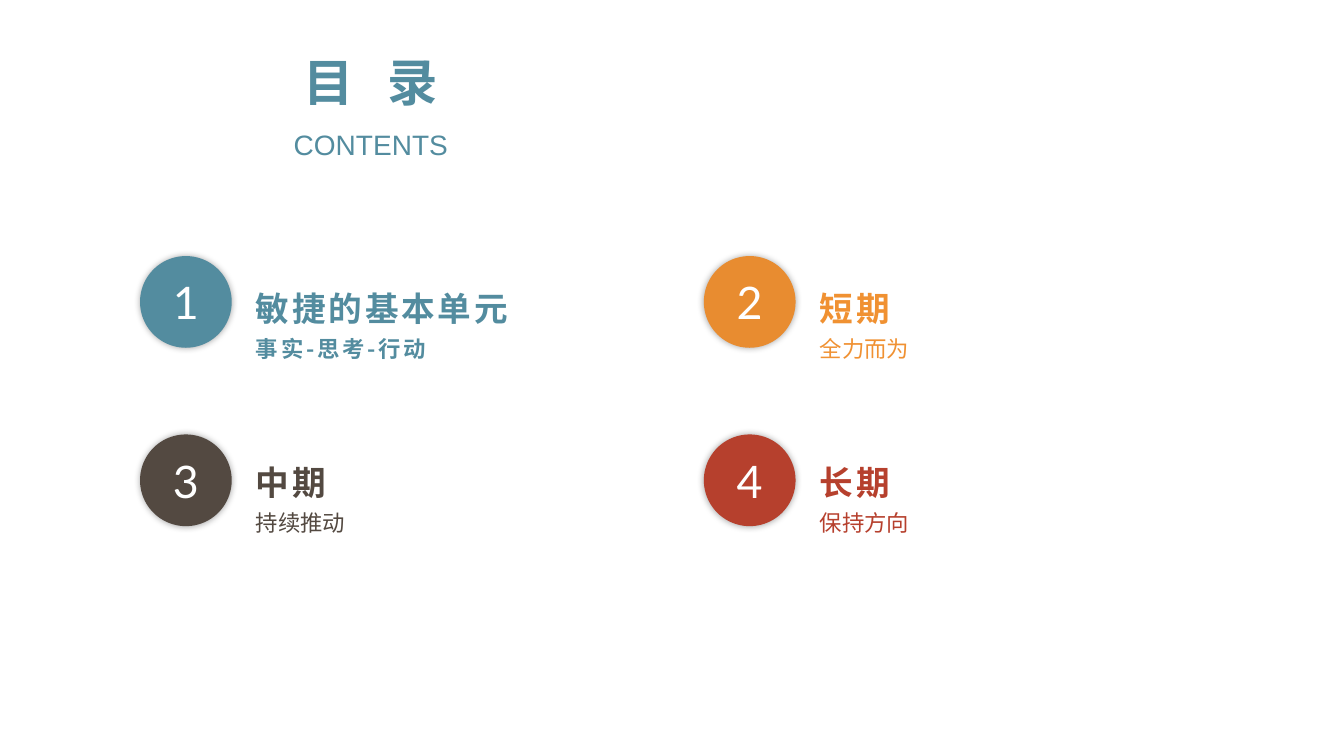
from lxml.etree import SubElement
from pptx import Presentation
from pptx.dml.color import RGBColor
from pptx.enum.shapes import MSO_SHAPE
from pptx.enum.text import MSO_ANCHOR, MSO_AUTO_SIZE, PP_ALIGN
from pptx.oxml.ns import qn
from pptx.util import Pt

TEAL = RGBColor(0x53, 0x8C, 0x9F)
ORANGE = RGBColor(0xE8, 0x8C, 0x30)
BRIGHT_ORANGE = RGBColor(0xF0, 0x91, 0x32)
BROWN = RGBColor(0x53, 0x49, 0x41)
RED = RGBColor(0xB6, 0x40, 0x2D)
WHITE = RGBColor(0xFF, 0xFF, 0xFF)
CHINESE_FONT = "Noto Sans CJK SC"

COLUMN_STEP = 402.75
CIRCLE_LEFT, CIRCLE_TOP, CIRCLE_STEP, CIRCLE_SIZE = 100, 182.9, 127.4, 65.5
ENTRY_LEFT, ENTRY_TOP, ENTRY_STEP = 175.75, 195.8, 124.2

# heading, subtitle, circle colour, text colour, emphasised subtitle
ENTRIES = [
    ("敏捷的基本单元", "事实-思考-行动", TEAL, TEAL, True),
    ("短期", "全力而为", ORANGE, BRIGHT_ORANGE, False),
    ("中期", "持续推动", BROWN, BROWN, False),
    ("长期", "保持方向", RED, RED, False),
]


def add_run(paragraph, text, size, color, font=CHINESE_FONT, bold=False, spacing=0):
    """Add a run; spacing is the extra space after each character in points."""
    run = paragraph.add_run()
    run.text = text
    run.font.size = Pt(size)
    run.font.name = font
    run.font.bold = bold
    run.font.color.rgb = color
    properties = run.font._element
    SubElement(properties, qn("a:ea")).set("typeface", CHINESE_FONT)
    if spacing:
        properties.set("spc", str(spacing * 100))


def format_title(title):
    title.left, title.top, title.width, title.height = Pt(154), Pt(41), Pt(221.75), Pt(75)
    frame = title.text_frame
    frame.auto_size = MSO_AUTO_SIZE.NONE
    frame.vertical_anchor = MSO_ANCHOR.TOP
    paragraph = frame.paragraphs[0]
    paragraph.alignment = PP_ALIGN.CENTER
    paragraph.line_spacing = Pt(35.4)
    add_run(paragraph, "目 ", 36, TEAL, bold=True, spacing=8)
    add_run(paragraph, "录", 36, TEAL, bold=True)
    paragraph.add_line_break()
    add_run(paragraph, "CONTENTS", 20, TEAL, font="Arial")


def add_glow_shadow(shape):
    """Give the shape a soft, centred black shadow."""
    shape.shadow.inherit = False
    effects = shape._element.spPr.find(qn("a:effectLst"))
    shadow = SubElement(effects, qn("a:outerShdw"), blurRad=str(Pt(5)), dist="0",
                        dir="0", algn="ctr", rotWithShape="0")
    color = SubElement(shadow, qn("a:srgbClr"), val="000000")
    SubElement(color, qn("a:alpha"), val="35000")


def add_number_circle(slide, number, left, top, color):
    circle = slide.shapes.add_shape(MSO_SHAPE.OVAL, Pt(left), Pt(top),
                                    Pt(CIRCLE_SIZE), Pt(CIRCLE_SIZE))
    circle.fill.solid()
    circle.fill.fore_color.rgb = color
    circle.line.fill.background()
    add_glow_shadow(circle)
    frame = circle.text_frame
    frame.word_wrap = False
    frame.vertical_anchor = MSO_ANCHOR.MIDDLE
    frame.margin_left = frame.margin_right = frame.margin_top = frame.margin_bottom = 0
    paragraph = frame.paragraphs[0]
    paragraph.alignment = PP_ALIGN.CENTER
    add_run(paragraph, str(number), 32, WHITE, font="Lato")


def add_entry_text(slide, left, top, heading, subtitle, color, emphasised):
    box = slide.shapes.add_textbox(Pt(left), Pt(top), Pt(280), Pt(67))
    frame = box.text_frame
    frame.word_wrap = True
    heading_paragraph = frame.paragraphs[0]
    subtitle_paragraph = frame.add_paragraph()
    heading_paragraph.line_spacing = subtitle_paragraph.line_spacing = 1.23
    add_run(heading_paragraph, heading, 24, color, bold=True, spacing=2)
    if emphasised:
        add_run(subtitle_paragraph, subtitle, 16, color, bold=True, spacing=2)
    else:
        add_run(subtitle_paragraph, subtitle, 16, color, font="Arial")


def main():
    presentation = Presentation()
    presentation.slide_width, presentation.slide_height = Pt(960), Pt(540)
    slide = presentation.slides.add_slide(presentation.slide_layouts[5])
    format_title(slide.shapes.title)
    for index, (heading, subtitle, fill, color, emphasised) in enumerate(ENTRIES):
        row, column = divmod(index, 2)
        shift = column * COLUMN_STEP
        add_number_circle(slide, index + 1, CIRCLE_LEFT + shift,
                          CIRCLE_TOP + row * CIRCLE_STEP, fill)
        add_entry_text(slide, ENTRY_LEFT + shift, ENTRY_TOP + row * ENTRY_STEP,
                       heading, subtitle, color, emphasised)
    presentation.save("out.pptx")


if __name__ == "__main__":
    main()
